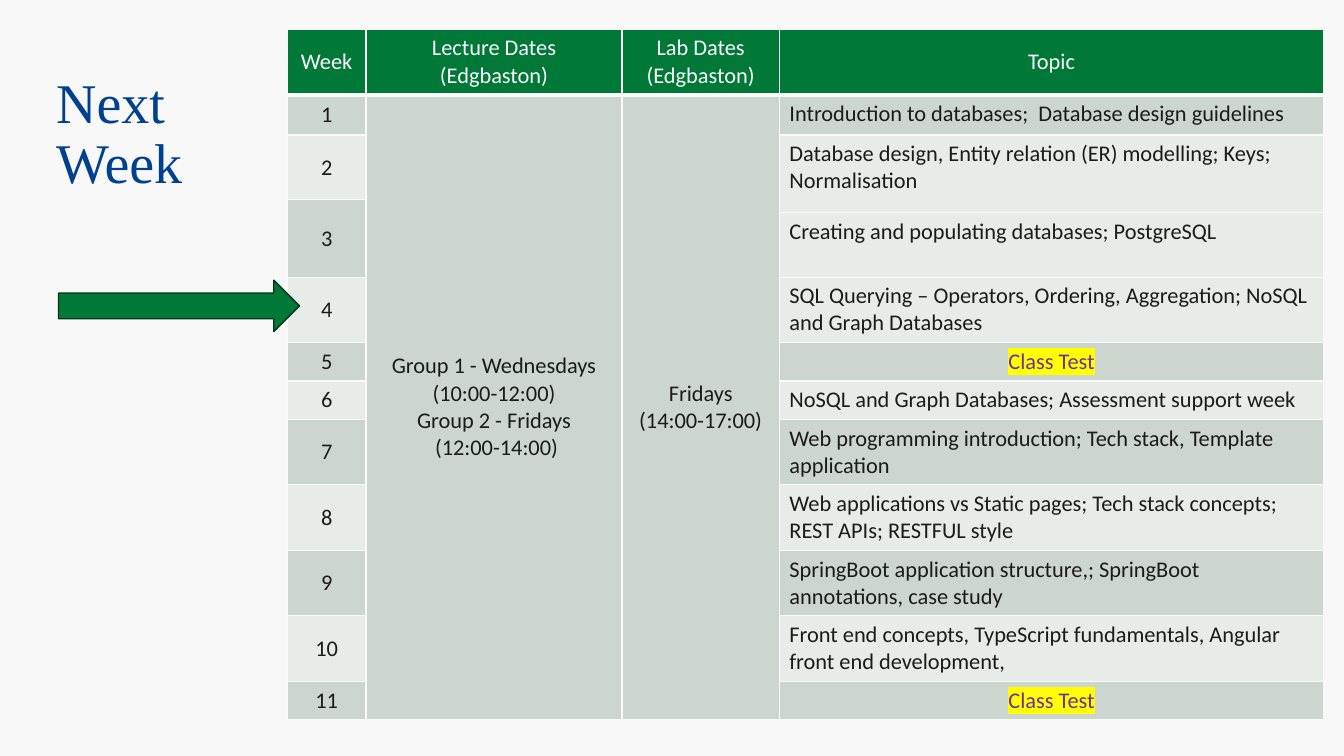
from lxml import etree
from pptx import Presentation
from pptx.dml.color import RGBColor
from pptx.enum import shapes, text
from pptx.oxml import ns
from pptx.util import Inches, Pt

GREEN, PALE, DARK = "007838", "FAFAFA", "1B1B1B"
BANDS = ["E7ECE8", "CCD6CE"]
TEST = "Class Test"
HEADS = ["Week", "Lecture Dates (Edgbaston)", "Lab Dates (Edgbaston)", "Topic"]
LECTURES = ["Group 1 - Wednesdays (10:00-12:00)", "Group 2 - Fridays", " (12:00-14:00)"]
LABS = ["Fridays", "(14:00-17:00)"]
TOPICS = [
    "Introduction to databases;  Database design guidelines",
    "Database design, Entity relation (ER) modelling; Keys; Normalisation",
    "Creating and populating databases; PostgreSQL",
    "SQL Querying – Operators, Ordering, Aggregation; NoSQL and Graph Databases",
    TEST,
    "NoSQL and Graph Databases; Assessment support week",
    "Web programming introduction; Tech stack, Template application",
    "Web applications vs Static pages; Tech stack concepts; REST APIs; RESTFUL style",
    "SpringBoot application structure,; SpringBoot annotations, case study",
    "Front end concepts, TypeScript fundamentals, Angular front end development,",
    TEST,
]
COLS = [0.78, 2.54, 1.56, 5.4]
ROWS = [0.65, 0.4, 0.64, 0.13, 0.64, 0.65, 0.38, 0.38] + [0.65] * 4 + [0.38]


def rgb(code):
    """Turn a hex string into a colour."""
    return RGBColor.from_string(code)


def paint(part, code):
    """Fill a part with one colour."""
    part.fill.solid()
    part.fill.fore_color.rgb = rgb(code)


def write(frame, lines, size=16, font="Calibri", color=DARK, align="LEFT", mark=None, gap=None):
    """Write lines of text as paragraphs of a frame."""
    for i, line in enumerate(lines):
        para = frame.add_paragraph() if i else frame.paragraphs[0]
        para.alignment = getattr(text.PP_ALIGN, align)
        if gap:
            para.line_spacing = gap
        run = para.add_run()
        run.text = line
        run.font.size, run.font.name = Pt(size), font
        run.font.color.rgb = rgb(color)
        if mark:
            tint = etree.Element(ns.qn("a:highlight"))
            etree.SubElement(tint, ns.qn("a:srgbClr"), val=mark)
            run.font.fill
            run.font._element.find(ns.qn("a:solidFill")).addnext(tint)


def edge(cell, base):
    """Draw the four borders of a cell, the lower one base points wide."""
    props = cell._tc.get_or_add_tcPr()
    for i, (side, width) in enumerate(zip("LRTB", (1, 1, 1, base))):
        line = etree.Element(ns.qn("a:ln" + side), w=str(Pt(width)))
        fill = etree.SubElement(line, ns.qn("a:solidFill"))
        etree.SubElement(fill, ns.qn("a:srgbClr"), val=PALE)
        props.insert(i, line)


def put(cell, lines, middle=True, **style):
    """Write into a table cell."""
    cell.vertical_anchor = text.MSO_ANCHOR.MIDDLE if middle else text.MSO_ANCHOR.TOP
    write(cell.text_frame, lines, **style)


def plan(slide):
    """Build the table of weeks."""
    frame = slide.shapes.add_table(len(ROWS), len(COLS), Inches(2.85), Inches(0.29),
                                   Inches(sum(COLS)), Inches(sum(ROWS)))
    grid = frame.table
    grid.first_row = grid.horz_banding = False
    for col, width in zip(grid.columns, COLS):
        col.width = Inches(width)
    for row, height in zip(grid.rows, ROWS):
        row.height = Inches(height)
    last = len(ROWS) - 1
    for top, low, col in [(1, last, 1), (1, last, 2), (3, 4, 0), (2, 3, 3)]:
        grid.cell(top, col).merge(grid.cell(low, col))
    for r in range(len(ROWS)):
        for c in range(len(COLS)):
            cell = grid.cell(r, c)
            week = r if r < 3 else r - 1 if r > 3 or c == 3 else 3
            band = BANDS[week % 2]
            if c in (1, 2):
                band = BANDS[1]
            elif c == 3 and r in (3, 4):
                band = BANDS[0]
            paint(cell, band if r else GREEN)
            edge(cell, 1 if r else 3)
    for c, head in enumerate(HEADS):
        put(grid.cell(0, c), [head], color=PALE, align="CENTER")
    for week, topic in enumerate(TOPICS, 1):
        row = week + (week > 3)
        put(grid.cell(row, 0), [str(week)], align="CENTER")
        style = dict(color="7030A0", mark="FFFF00", align="CENTER") if topic == TEST else {}
        put(grid.cell(week + (week > 2), 3), [topic], middle=week > 5, **style)
    for c, lines in enumerate([LECTURES, LABS], 1):
        put(grid.cell(1, c), lines, align="CENTER")


def main():
    """Build and save the slide."""
    deck = Presentation()
    deck.slide_width, deck.slide_height = Inches(13.33), Inches(7.5)
    slide = deck.slides.add_slide(deck.slide_layouts[6])
    paint(slide.background, "F8F8F8")
    title = slide.shapes.add_textbox(Inches(0.46), Inches(1.03), Inches(2.64), Inches(0.63))
    title.text_frame.word_wrap = True
    title.text_frame.vertical_anchor = text.MSO_ANCHOR.MIDDLE
    write(title.text_frame, ["Next Week"], size=40, font="Times New Roman",
          color="00418F", gap=0.9)
    plan(slide)
    arrow = slide.shapes.add_shape(shapes.MSO_SHAPE.RIGHT_ARROW, Inches(0.58), Inches(2.78),
                                   Inches(2.39), Inches(0.51))
    arrow.shadow.inherit = False
    paint(arrow, GREEN)
    arrow.line.color.rgb, arrow.line.width = rgb("003519"), Pt(1)
    deck.save("out.pptx")


if __name__ == "__main__":
    main()
